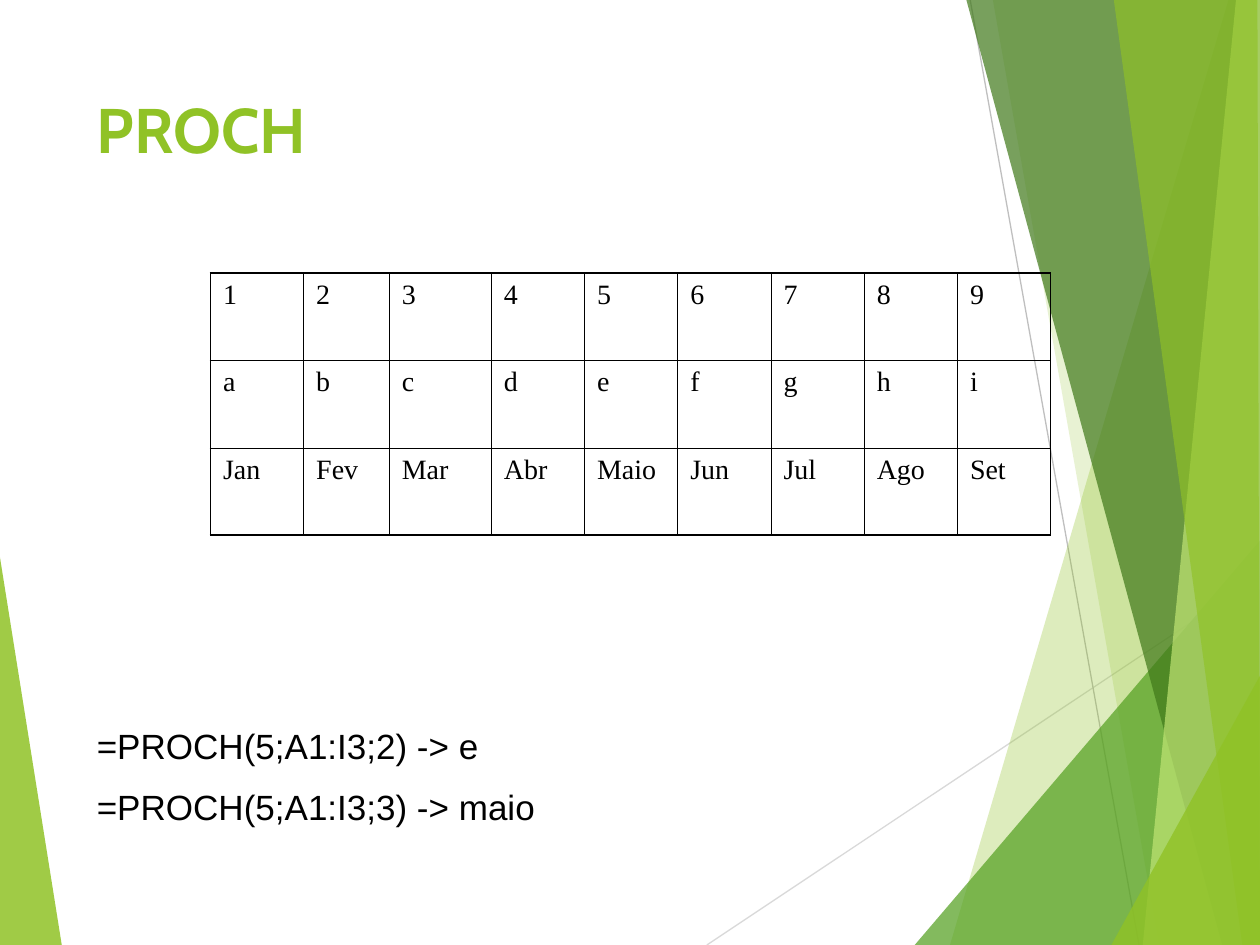
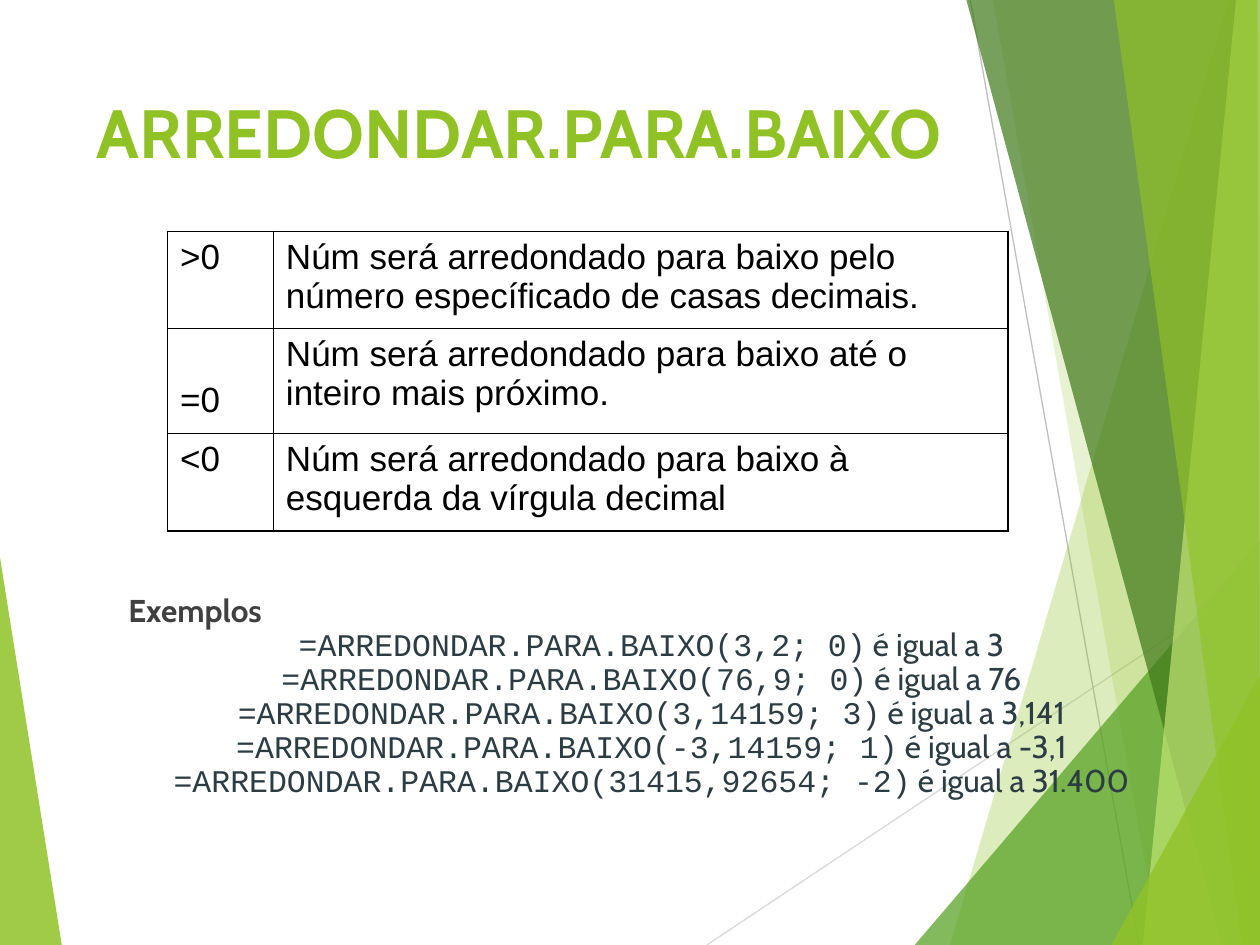
"""Build two slides on spreadsheet functions, framed by green bands."""
import dataclasses
import typing

import lxml.etree
import pptx
import pptx.dml.color
import pptx.enum.shapes
import pptx.enum.text
import pptx.oxml.ns
import pptx.util

WIDE = pptx.util.Inches(10)
HIGH = pptx.util.Inches(7.5)
LIME, GREEN, MOSS, PALE = "90C226", "54A021", "3F7819", "C0E474"
BLACK, GREY, SLATE = "000000", "404040", "2C3C43"
THICK, THIN = 1.08, 0.45
ALIGN = pptx.enum.text.PP_ALIGN
Point = tuple[float, float]


@dataclasses.dataclass(frozen=True)
class Band:
    """A translucent polygon, with corners in percent of the slide."""
    points: tuple[Point, ...]
    tint: str
    alpha: int


@dataclasses.dataclass(frozen=True)
class Line:
    """A thin rule between two points in percent of the slide."""
    start: Point
    end: Point
    tint: str


@dataclasses.dataclass(frozen=True)
class Style:
    """The look of a run of text."""
    name: str
    size: float
    tint: str
    bold: bool = False


@dataclasses.dataclass(frozen=True)
class Box:
    """A frame in percent of the slide."""
    left: float
    top: float
    width: float
    height: float


@dataclasses.dataclass(frozen=True)
class Para:
    """A paragraph of styled runs with its format values."""
    runs: tuple[tuple[str, Style], ...]
    form: dict[str, typing.Any] = dataclasses.field(default_factory=dict)


@dataclasses.dataclass(frozen=True)
class Grid:
    """A table with column and row shares of the slide."""
    left: float
    top: float
    cols: tuple[float, ...]
    rows: tuple[float, ...]
    text: tuple[tuple[str, ...], ...]
    style: Style


FRAME: tuple[Band | Line, ...] = (
    Band(((0, 59), (4.9, 100), (0, 100)), LIME, 85),
    Line((56.1, 100), (100, 61), "D9D9D9"),
    Line((77, 0), (90.4, 100), "BFBFBF"),
    Band(((97.5, 0), (75.4, 100), (100, 100), (100, 0)), LIME, 30),
    Band(((78.8, 0), (92, 100), (100, 100), (100, 0)), LIME, 20),
    Band(((72.6, 100), (100, 57.2), (100, 100)), GREEN, 72),
    Band(((76.7, 0), (97, 100), (100, 100), (100, 0)), MOSS, 70),
    Band(((98.1, 0), (90.7, 100), (100, 100), (100, 0)), PALE, 70),
    Band(((88.4, 0), (98.6, 100), (100, 100), (99.8, 0)), LIME, 65),
    Band(((88.2, 100), (100, 71.5), (100, 100)), LIME, 80),
)
HEAD = Box(6.7, 8.9, 69.4, 19.2)
PLAIN = Style("Arial", 20, BLACK)
SERIF = Style("Times New Roman", 16, BLACK)
CODE = Style("Courier New", 18, SLATE)
PROSE = Style("Cabin", 18, SLATE)
LABEL = Style("Cabin", 18, GREY, True)

MONTHS = Grid(
    16.7, 28.9, (7.4, 6.8, 8.1) + (7.4,) * 6, (9.25,) * 3,
    (tuple("123456789"), tuple("abcdefghi"),
     ("Jan", "Fev", "Mar", "Abr", "Maio", "Jun", "Jul", "Ago", "Set")),
    SERIF)
RULES = Grid(
    13.3, 24.5, (8.4, 58.3), (10.3, 11.1, 10.3),
    ((">0", "Núm será arredondado para baixo pelo número específicado de casas decimais."),
     ("=0", "Núm será arredondado para baixo até o inteiro mais próximo."),
     ("<0", "Núm será arredondado para baixo à esquerda da vírgula decimal")),
    PLAIN)
CALLS = (
    Para((("=PROCH(5;A1:I3;2) -> e", PLAIN),)),
    Para((("=PROCH(5;A1:I3;3) -> maio", PLAIN),), {"space_before": pptx.util.Pt(11)}),
)
CASES = (
    ("3,2; 0", "3"),
    ("76,9; 0", "76"),
    ("3,14159; 3", "3,141"),
    ("-3,14159; 1", "-3,1"),
    ("31415,92654; -2", "31.400"),
)


def across(share: float) -> int:
    """Turn a percent of the width into a length."""
    return round(WIDE * share / 100)


def down(share: float) -> int:
    """Turn a percent of the height into a length."""
    return round(HIGH * share / 100)


def color(code: str) -> pptx.dml.color.RGBColor:
    """Turn a hex string into a colour."""
    return pptx.dml.color.RGBColor.from_string(code)


def apply(target: typing.Any, form: dict[str, typing.Any]) -> None:
    """Set each format value on the target."""
    for name, value in form.items():
        setattr(target, name, value)


def child(parent: typing.Any, tag: str, **values: str) -> typing.Any:
    """Add an XML child with its values."""
    return lxml.etree.SubElement(parent, pptx.oxml.ns.qn(tag), values)


def draw_band(slide: typing.Any, band: Band) -> None:
    """Draw one translucent band."""
    first, *rest = [(across(x), down(y)) for x, y in band.points]
    maker = slide.shapes.build_freeform(*first)
    maker.add_line_segments(rest, close=True)
    shape = maker.convert_to_shape()
    shape.shadow.inherit = False
    shape.fill.solid()
    shape.fill.fore_color.rgb = color(band.tint)
    shape.line.fill.background()
    paint = shape._element.spPr.find(".//" + pptx.oxml.ns.qn("a:srgbClr"))
    child(paint, "a:alpha", val=str(band.alpha * 1000))


def draw_line(slide: typing.Any, line: Line) -> None:
    """Draw one thin rule."""
    ends = [scale(value) for point in (line.start, line.end)
            for scale, value in zip((across, down), point)]
    rule = slide.shapes.add_connector(pptx.enum.shapes.MSO_CONNECTOR.STRAIGHT, *ends)
    rule.line.width = pptx.util.Pt(0.75)
    rule.line.color.rgb = color(line.tint)
    child(rule._element.spPr, "a:effectLst")


def write(frame: typing.Any, paras: typing.Sequence[Para]) -> None:
    """Fill a text frame with paragraphs."""
    frame.word_wrap = True
    for index, para in enumerate(paras):
        block = frame.add_paragraph() if index else frame.paragraphs[0]
        apply(block, para.form)
        for words, style in para.runs:
            run = block.add_run()
            run.text = words
            apply(run.font, {"name": style.name, "size": pptx.util.Pt(style.size),
                             "bold": style.bold})
            run.font.color.rgb = color(style.tint)


def draw_text(slide: typing.Any, box: Box, paras: typing.Sequence[Para]) -> None:
    """Draw a text box."""
    shape = slide.shapes.add_textbox(across(box.left), down(box.top),
                                     across(box.width), down(box.height))
    write(shape.text_frame, paras)


def edge(cell: typing.Any, sides: dict[str, float]) -> None:
    """Give a cell its border lines."""
    props = cell._tc.get_or_add_tcPr()
    for index, (side, width) in enumerate(sides.items()):
        line = child(props, "a:ln" + side, w=str(pptx.util.Pt(width)))
        child(child(line, "a:solidFill"), "a:srgbClr", val=BLACK)
        props.insert(index, line)


def draw_grid(slide: typing.Any, grid: Grid) -> typing.Any:
    """Draw a table with a thick rim and thin inner lines."""
    table = slide.shapes.add_table(
        len(grid.rows), len(grid.cols), across(grid.left), down(grid.top),
        across(sum(grid.cols)), down(sum(grid.rows))).table
    apply(table, {"first_row": False, "horz_banding": False})
    for col, share in zip(table.columns, grid.cols):
        col.width = across(share)
    for row, share in zip(table.rows, grid.rows):
        row.height = down(share)
    low, far = len(grid.rows) - 1, len(grid.cols) - 1
    for y, line in enumerate(grid.text):
        for x, words in enumerate(line):
            cell = table.cell(y, x)
            cell.fill.background()
            rim = {"L": x == 0, "R": x == far, "T": y == 0, "B": y == low}
            edge(cell, {side: THICK if outer else THIN for side, outer in rim.items()})
            write(cell.text_frame, [Para(((words, grid.style),))])
    return table


def add_slide(deck: typing.Any, title: str, size: float) -> typing.Any:
    """Add a slide with the shared bands and title."""
    slide = deck.slides.add_slide(deck.slide_layouts[6])
    for part in FRAME:
        if isinstance(part, Band):
            draw_band(slide, part)
        else:
            draw_line(slide, part)
    draw_text(slide, HEAD, [Para(((title, Style("Cabin", size, LIME, True)),))])
    return slide


def main() -> None:
    """Build and save the deck."""
    deck = pptx.Presentation()
    apply(deck, {"slide_width": WIDE, "slide_height": HIGH})

    slide = add_slide(deck, "PROCH", 36)
    draw_text(slide, Box(6.7, 76, 69.4, 12), CALLS)
    draw_grid(slide, MONTHS)

    name = "ARREDONDAR.PARA.BAIXO"
    slide = add_slide(deck, name, 39)
    tight = {"line_spacing": 0.9}
    center = tight | {"alignment": ALIGN.CENTER}
    paras = [Para((("Exemplos", LABEL),), tight)]
    paras += [Para(((f"={name}({args})", CODE), (f" é igual a {result}", PROSE)), center)
              for args, result in CASES]
    draw_text(slide, Box(9.2, 62.3, 85, 24.4), paras)
    table = draw_grid(slide, RULES)
    table.cell(1, 0).margin_top = down(5.5)

    deck.save("out.pptx")


if __name__ == "__main__":
    main()
